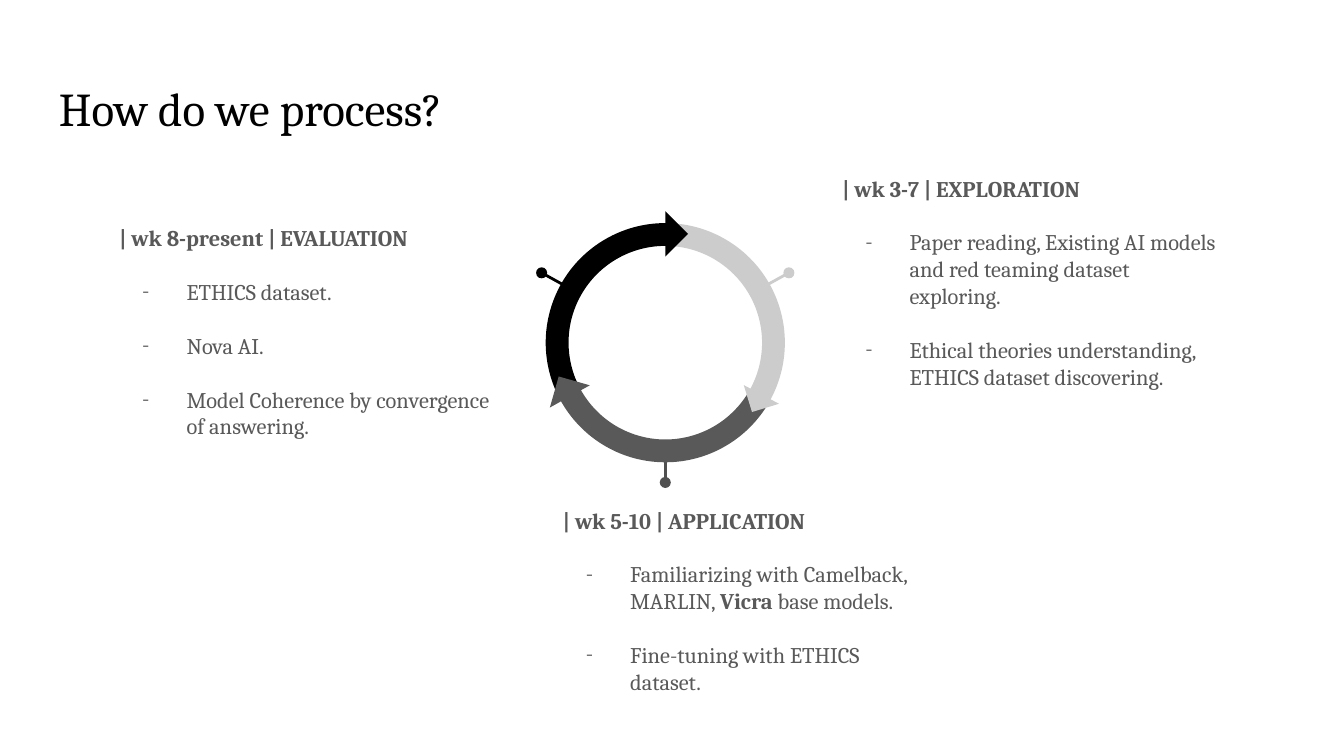
import pptx
import pptx.dml.color
import pptx.enum.shapes
import pptx.enum.text
import pptx.oxml.ns
import pptx.util
from lxml import etree

Inches = pptx.util.Inches
Pt = pptx.util.Pt
SHAPES = pptx.enum.shapes.MSO_SHAPE
FONT = "Cambria"
COLORS = {
    "title": "000000",
    "text": "595959",
    "exploration": "CCCCCC",
    "application": "595959",
    "application_pin": "505050",
    "evaluation": "000000",
}
SLIDE_WIDTH = 10
SLIDE_HEIGHT = SLIDE_WIDTH * 9 / 16
RING_LEFT, RING_TOP, RING_SIZE, BAND = 4.06, 1.66, 1.78, 0.17
BLANK_LINE = 14.4


def rgb(name):
    return pptx.dml.color.RGBColor.from_string(COLORS[name])


def add_child(parent, tag, **attributes):
    return etree.SubElement(parent, pptx.oxml.ns.qn(tag), **attributes)


def add_run(paragraph, text, size, color, bold=False):
    run = paragraph.add_run()
    run.text = text
    run.font.name = FONT
    run.font.size = Pt(size)
    run.font.bold = bold
    run.font.color.rgb = rgb(color)


def add_text_frame(slide, left, top, width, height):
    box = slide.shapes.add_textbox(Inches(left), Inches(top), Inches(width), Inches(height))
    frame = box.text_frame
    frame.word_wrap = True
    frame.margin_left = frame.margin_right = Inches(0.1)
    frame.margin_top = frame.margin_bottom = Inches(0.1)
    return frame


def add_title(slide, text):
    frame = add_text_frame(slide, 0.34, 0.49, 9.32, 0.63)
    add_run(frame.paragraphs[0], text, 25.2, "title")


def add_bullet(frame, runs):
    paragraph = frame.add_paragraph()
    paragraph.space_before = Pt(BLANK_LINE)
    properties = paragraph._p.get_or_add_pPr()
    properties.set("marL", str(Inches(0.5)))
    properties.set("indent", str(Inches(-0.33)))
    bullet_color = add_child(properties, "a:buClr")
    add_child(bullet_color, "a:srgbClr", val=COLORS["text"])
    add_child(properties, "a:buFont", typeface=FONT)
    add_child(properties, "a:buChar", char="-")
    for text, bold in runs:
        add_run(paragraph, text, 12, "text", bold)


def add_stage(slide, left, top, width, height, heading, bullets):
    frame = add_text_frame(slide, left, top, width, height)
    frame.auto_size = pptx.enum.text.MSO_AUTO_SIZE.SHAPE_TO_FIT_TEXT
    add_run(frame.paragraphs[0], heading, 12, "text", True)
    for runs in bullets:
        add_bullet(frame, runs)


def add_solid(slide, kind, left, top, size, rotation, color):
    shape = slide.shapes.add_shape(kind, Inches(left), Inches(top), Inches(size), Inches(size))
    shape.shadow.inherit = False
    shape.rotation = rotation
    shape.fill.solid()
    shape.fill.fore_color.rgb = rgb(color)
    shape.line.fill.background()
    return shape


def add_arc(slide, rotation, start, end, color, flipped):
    arc = add_solid(slide, SHAPES.BLOCK_ARC, RING_LEFT, RING_TOP, RING_SIZE, rotation, color)
    arc.adjustments[0] = start * 0.6
    arc.adjustments[1] = end * 0.6
    arc.adjustments[2] = BAND / RING_SIZE
    if flipped:
        arc._element.spPr.xfrm.set("flipH", "1")


def add_arrow_tip(slide, left, top, size, rotation, color):
    add_solid(slide, SHAPES.RIGHT_TRIANGLE, left, top, size, rotation, color)


def add_pin(slide, start, end, color):
    points = [Inches(value) for value in start + end]
    pin = slide.shapes.add_connector(pptx.enum.shapes.MSO_CONNECTOR.STRAIGHT, *points)
    pin.line.color.rgb = rgb(color)
    pin.line.width = Pt(1.5)
    add_child(pin.line._get_or_add_ln(), "a:headEnd", type="oval")
    add_child(pin._element.spPr, "a:effectLst")


def add_cycle(slide):
    add_pin(slide, (5.87, 2.03), (5.58, 2.19), "exploration")
    add_pin(slide, (4.95, 3.59), (4.95, 3.28), "application_pin")
    add_arc(slide, 30, 240.24, 0.01, "exploration", False)
    add_pin(slide, (4.03, 2.03), (4.32, 2.19), "evaluation")
    add_arc(slide, 330, 239.14, 357.88, "evaluation", True)
    add_arrow_tip(slide, 4.83, 1.62, 0.24, 225, "evaluation")
    add_arc(slide, 210, 238.6, 358.38, "application", True)
    add_arrow_tip(slide, 5.56, 2.83, 0.21, 342.9, "exploration")
    add_arrow_tip(slide, 4.12, 2.83, 0.24, 105.9, "application")


def main():
    presentation = pptx.Presentation()
    presentation.slide_width = Inches(SLIDE_WIDTH)
    presentation.slide_height = Inches(SLIDE_HEIGHT)
    slide = presentation.slides.add_slide(presentation.slide_layouts[6])

    add_title(slide, "How do we process?")
    add_cycle(slide)
    add_stage(slide, 6.17, 1.2, 3.04, 2.02, "| wk 3-7 | EXPLORATION", [
        [("Paper reading, Existing AI models and red teaming dataset exploring.", False)],
        [("Ethical theories understanding, ETHICS dataset discovering.", False)],
    ])
    add_stage(slide, 4.09, 3.67, 2.88, 1.82, "| wk 5-10 | APPLICATION", [
        [("Familiarizing with Camelback, MARLIN, ", False), ("Vicra", True),
         (" base models.", False)],
        [("Fine-tuning with ETHICS dataset.", False)],
    ])
    add_stage(slide, 0.79, 1.57, 3.04, 1.82, "| wk 8-present | EVALUATION", [
        [("ETHICS dataset.", False)],
        [("Nova AI.", False)],
        [("Model Coherence by convergence of answering.", False)],
    ])
    presentation.save("out.pptx")


if __name__ == "__main__":
    main()
